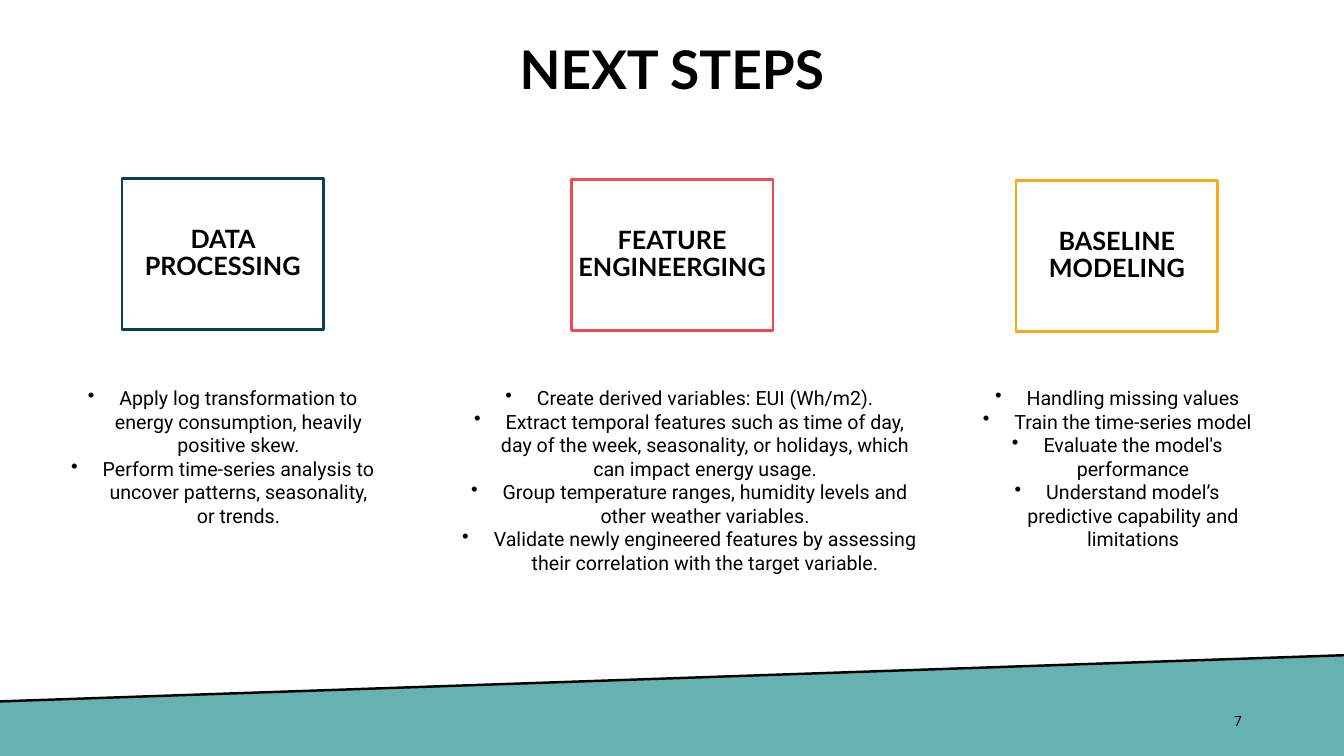
from dataclasses import dataclass

import lxml.etree
import pptx
import pptx.dml.color
import pptx.enum.shapes
import pptx.enum.text
import pptx.oxml.ns
import pptx.shapes.autoshape
import pptx.slide
import pptx.text.text
import pptx.util

Pt = pptx.util.Pt
COLORS = {
    "ink": "000000",
    "band": "66B2B0",
    "navy": "0A4054",
    "red": "F2494C",
    "amber": "F9AA19",
}
HEADING_FONT = "Lato"
BODY_FONT = "Roboto"
SLIDE_WIDTH, SLIDE_HEIGHT = 960, 540
BAND_LEFT_TOP, BAND_RIGHT_TOP = 501, 468
CARD_WIDTH, CARD_HEIGHT = 144, 108
LINE_WIDTH = 1.75
LIST_TOP = 272.2
BULLET_INDENT = 22.5


@dataclass(frozen=True)
class Area:
    left: float
    top: float
    width: float
    height: float

    def lengths(self) -> list[pptx.util.Length]:
        return [Pt(value) for value in (self.left, self.top, self.width, self.height)]


@dataclass(frozen=True)
class TextStyle:
    font: str
    size: float
    bold: bool = False
    align: str = "CENTER"
    line_spacing: float = 1.0


@dataclass(frozen=True)
class Step:
    heading: str
    color: str
    card_left: float
    card_top: float
    list_left: float
    list_width: float
    list_height: float
    actions: tuple[str, ...]


TITLE = TextStyle(HEADING_FONT, 38, bold=True, line_spacing=0.9)
CARD = TextStyle(HEADING_FONT, 18, bold=True, line_spacing=0.9)
BODY = TextStyle(BODY_FONT, 14)
PAGE_NUMBER = TextStyle(BODY_FONT, 10, align="RIGHT")

STEPS = (
    Step("DATA PROCESSING", "navy", 87.1, 127.5, 41.8, 234.7, 178, (
        "Apply log transformation to energy consumption, heavily positive skew.",
        "Perform time-series analysis to uncover patterns, seasonality, or trends.",
    )),
    Step("FEATURE ENGINEERGING", "red", 408.1, 128.1, 321.1, 342.7, 181, (
        "Create derived variables: EUI (Wh/m2).",
        "Extract temporal features such as time of day, day of the week, "
        "seasonality, or holidays, which can impact energy usage.",
        "Group temperature ranges, humidity levels and other weather variables.",
        "Validate newly engineered features by assessing their correlation "
        "with the target variable.",
    )),
    Step("BASELINE MODELING", "amber", 725.8, 128.8, 687.6, 221, 146, (
        "Handling missing values",
        "Train the time-series model",
        "Evaluate the model's performance",
        "Understand model’s predictive capability and limitations",
    )),
)


def color(name: str) -> pptx.dml.color.RGBColor:
    return pptx.dml.color.RGBColor.from_string(COLORS[name])


def style_paragraph(para: pptx.text.text._Paragraph, style: TextStyle) -> None:
    para.alignment = pptx.enum.text.PP_ALIGN[style.align]
    para.line_spacing = style.line_spacing
    for span in para.runs:
        span.font.name = style.font
        span.font.size = Pt(style.size)
        span.font.bold = style.bold
        span.font.color.rgb = color("ink")


def add_bullet(para: pptx.text.text._Paragraph) -> None:
    properties = para._p.get_or_add_pPr()
    properties.set("marL", str(Pt(BULLET_INDENT)))
    properties.set("indent", str(-Pt(BULLET_INDENT)))
    bullet = lxml.etree.SubElement(properties, pptx.oxml.ns.qn("a:buChar"))
    bullet.set("char", "•")


def add_text(page: pptx.slide.Slide, area: Area, lines: tuple[str, ...],
             style: TextStyle, anchor: str = "MIDDLE", bulleted: bool = False) -> None:
    frame = page.shapes.add_textbox(*area.lengths()).text_frame
    frame.word_wrap = True
    frame.vertical_anchor = pptx.enum.text.MSO_ANCHOR[anchor]
    frame.text = "\n".join(lines)
    for para in frame.paragraphs:
        style_paragraph(para, style)
        if bulleted:
            add_bullet(para)


def add_band(page: pptx.slide.Slide) -> None:
    builder = page.shapes.build_freeform(Pt(0), Pt(BAND_LEFT_TOP))
    builder.add_line_segments([
        (Pt(SLIDE_WIDTH), Pt(BAND_RIGHT_TOP)),
        (Pt(SLIDE_WIDTH), Pt(SLIDE_HEIGHT)),
        (Pt(0), Pt(SLIDE_HEIGHT)),
    ])
    band = builder.convert_to_shape()
    band.shadow.inherit = False
    band.fill.solid()
    band.fill.fore_color.rgb = color("band")
    band.line.fill.background()

    edge = page.shapes.add_connector(
        pptx.enum.shapes.MSO_CONNECTOR.STRAIGHT,
        Pt(SLIDE_WIDTH), Pt(BAND_RIGHT_TOP), Pt(0), Pt(BAND_LEFT_TOP))
    edge.line.color.rgb = color("ink")
    edge.line.width = Pt(LINE_WIDTH)
    lxml.etree.SubElement(edge._element.spPr, pptx.oxml.ns.qn("a:effectLst"))


def add_card(page: pptx.slide.Slide, step: Step) -> None:
    area = Area(step.card_left, step.card_top, CARD_WIDTH, CARD_HEIGHT)
    card = page.shapes.add_shape(
        pptx.enum.shapes.MSO_SHAPE.RECTANGLE, *area.lengths())
    card.shadow.inherit = False
    card.fill.background()
    card.line.color.rgb = color(step.color)
    card.line.width = Pt(LINE_WIDTH)
    frame = card.text_frame
    frame.word_wrap = True
    frame.vertical_anchor = pptx.enum.text.MSO_ANCHOR.MIDDLE
    frame.margin_left = frame.margin_right = Pt(0)
    frame.margin_top = frame.margin_bottom = Pt(0)
    frame.text = step.heading
    style_paragraph(frame.paragraphs[0], CARD)


def add_step(page: pptx.slide.Slide, step: Step) -> None:
    add_card(page, step)
    area = Area(step.list_left, LIST_TOP, step.list_width, step.list_height)
    add_text(page, area, step.actions, BODY, anchor="TOP", bulleted=True)


def main() -> None:
    deck = pptx.Presentation()
    deck.slide_width = Pt(SLIDE_WIDTH)
    deck.slide_height = Pt(SLIDE_HEIGHT)
    page = deck.slides.add_slide(deck.slide_layouts[6])
    add_band(page)
    add_text(page, Area(145.5, 20.2, 669, 63.4), ("NEXT STEPS",), TITLE)
    for step in STEPS:
        add_step(page, step)
    add_text(page, Area(678.2, 500.4, 216, 28.8), ("7",), PAGE_NUMBER)
    deck.save("out.pptx")


if __name__ == "__main__":
    main()
